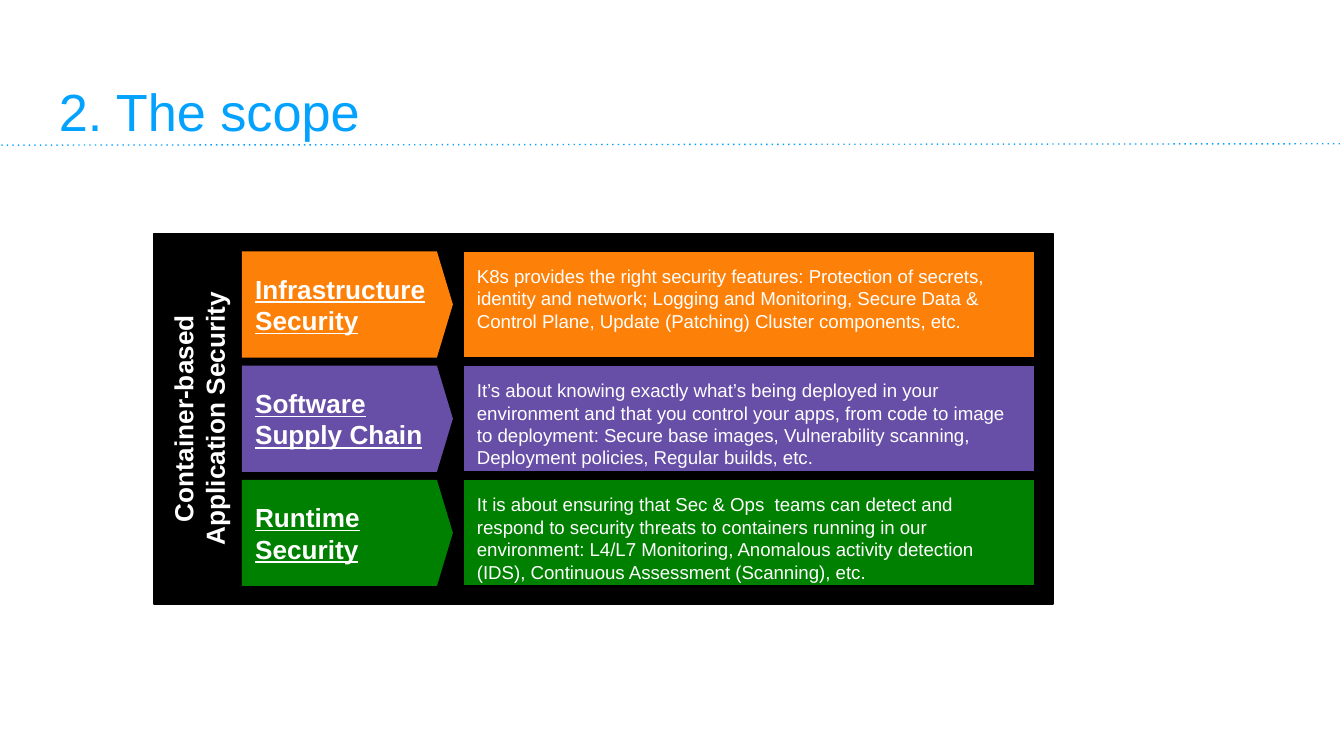
from dataclasses import dataclass

import pptx
import pptx.dml.color
import pptx.enum.dml
import pptx.enum.shapes
import pptx.enum.text
import pptx.oxml.ns
import pptx.shapes.autoshape
import pptx.slide
import pptx.text.text
import pptx.util
from pptx.util import Inches

COLOURS = {
    "accent": "04A2FF",
    "black": "000000",
    "white": "FFFFFF",
    "orange": "FD8008",
    "purple": "674EA7",
    "green": "008000",
}
FONT = "Arial"
ROW_TOP, ROW_STEP, ROW_HEIGHT = 1.87, 0.85, 0.79
MIDDLE = pptx.enum.text.MSO_ANCHOR.MIDDLE
TOP = pptx.enum.text.MSO_ANCHOR.TOP
LEFT = pptx.enum.text.PP_ALIGN.LEFT
CENTER = pptx.enum.text.PP_ALIGN.CENTER
RECTANGLE = pptx.enum.shapes.MSO_SHAPE.RECTANGLE
PENTAGON = pptx.enum.shapes.MSO_SHAPE.PENTAGON


@dataclass
class Box:
    left: float
    top: float
    width: float
    height: float


@dataclass
class TextStyle:
    size: float
    colour: str = "white"
    bold: bool = False
    underline: bool = False
    align: pptx.enum.text.PP_ALIGN = LEFT
    anchor: pptx.enum.text.MSO_ANCHOR = TOP


@dataclass
class SecurityArea:
    name: str
    description: str
    colour: str


TITLE_STYLE = TextStyle(28, "accent")
PANEL_STYLE = TextStyle(14, bold=True, align=CENTER)
NAME_STYLE = TextStyle(14, bold=True, underline=True, anchor=MIDDLE)
DESCRIPTION_STYLE = TextStyle(10)

AREAS = [
    SecurityArea(
        "Infrastructure Security",
        "K8s provides the right security features: Protection of secrets, "
        "identity and network; Logging and Monitoring, Secure Data & Control Plane, "
        "Update (Patching) Cluster components, etc.",
        "orange",
    ),
    SecurityArea(
        "Software Supply Chain",
        "It’s about knowing exactly what’s being deployed in your environment and "
        "that you control your apps, from code to image to deployment: Secure base "
        "images, Vulnerability scanning, Deployment policies, Regular builds, etc.",
        "purple",
    ),
    SecurityArea(
        "Runtime Security",
        "It is about ensuring that Sec & Ops  teams can detect and respond to "
        "security threats to containers running in our environment: L4/L7 Monitoring, "
        "Anomalous activity detection (IDS), Continuous Assessment (Scanning), etc.",
        "green",
    ),
]


def rgb(name: str) -> pptx.dml.color.RGBColor:
    return pptx.dml.color.RGBColor.from_string(COLOURS[name])


def lengths(box: Box) -> list[pptx.util.Length]:
    return [Inches(value) for value in (box.left, box.top, box.width, box.height)]


def write_text(text_frame: pptx.text.text.TextFrame, text: str, style: TextStyle) -> None:
    text_frame.text = text
    text_frame.word_wrap = True
    text_frame.vertical_anchor = style.anchor
    text_frame.margin_left = text_frame.margin_right = Inches(0.1)
    text_frame.margin_top = text_frame.margin_bottom = Inches(0.1)
    paragraph = text_frame.paragraphs[0]
    paragraph.alignment = style.align
    for run in paragraph.runs:
        run.font.name = FONT
        run.font.size = pptx.util.Pt(style.size)
        run.font.bold = style.bold
        run.font.underline = style.underline
        run.font.color.rgb = rgb(style.colour)


def add_filled_shape(
    slide: pptx.slide.Slide,
    kind: pptx.enum.shapes.MSO_SHAPE,
    box: Box,
    fill: str,
    text: str,
    style: TextStyle,
    outlined: bool = True,
) -> pptx.shapes.autoshape.Shape:
    shape = slide.shapes.add_shape(kind, *lengths(box))
    shape.shadow.inherit = False
    shape.fill.solid()
    shape.fill.fore_color.rgb = rgb(fill)
    if outlined:
        shape.line.color.rgb = rgb("black")
        shape.line.width = pptx.util.Pt(0.75)
    else:
        shape.line.fill.background()
    write_text(shape.text_frame, text, style)
    return shape


def add_title(slide: pptx.slide.Slide, text: str) -> None:
    rule = slide.shapes.add_connector(
        pptx.enum.shapes.MSO_CONNECTOR.STRAIGHT,
        Inches(0.01), Inches(1.08), Inches(9.99), Inches(1.07),
    )
    rule.line.color.rgb = rgb("accent")
    rule.line.width = pptx.util.Pt(0.75)
    rule.line.dash_style = pptx.enum.dml.MSO_LINE.ROUND_DOT
    properties = rule._element.spPr
    properties.find(".//" + pptx.oxml.ns.qn("a:prstDash")).set("val", "dot")
    properties.append(properties.makeelement(pptx.oxml.ns.qn("a:effectLst"), {}))
    title = slide.shapes.add_textbox(*lengths(Box(0.34, 0.49, 3.64, 0.63)))
    write_text(title.text_frame, text, TITLE_STYLE)


def add_area(slide: pptx.slide.Slide, area: SecurityArea, top: float) -> None:
    add_filled_shape(
        slide, RECTANGLE, Box(3.45, top, 4.25, ROW_HEIGHT),
        area.colour, area.description, DESCRIPTION_STYLE,
    )
    arrow = add_filled_shape(
        slide, PENTAGON, Box(1.8, top, 1.57, ROW_HEIGHT),
        area.colour, area.name, NAME_STYLE, outlined=False,
    )
    arrow.adjustments[0] = 0.15


def main() -> None:
    presentation = pptx.Presentation()
    presentation.slide_width = Inches(10)
    presentation.slide_height = Inches(10) * 9 // 16
    slide = presentation.slides.add_slide(presentation.slide_layouts[6])

    add_title(slide, "2. The scope")
    panel = add_filled_shape(
        slide, RECTANGLE, Box(3.11, -0.23, 2.76, 6.69),
        "black", "Container-based Application Security", PANEL_STYLE,
    )
    panel.rotation = 270
    for row, area in enumerate(AREAS):
        add_area(slide, area, ROW_TOP + row * ROW_STEP)

    presentation.save("out.pptx")


if __name__ == "__main__":
    main()
